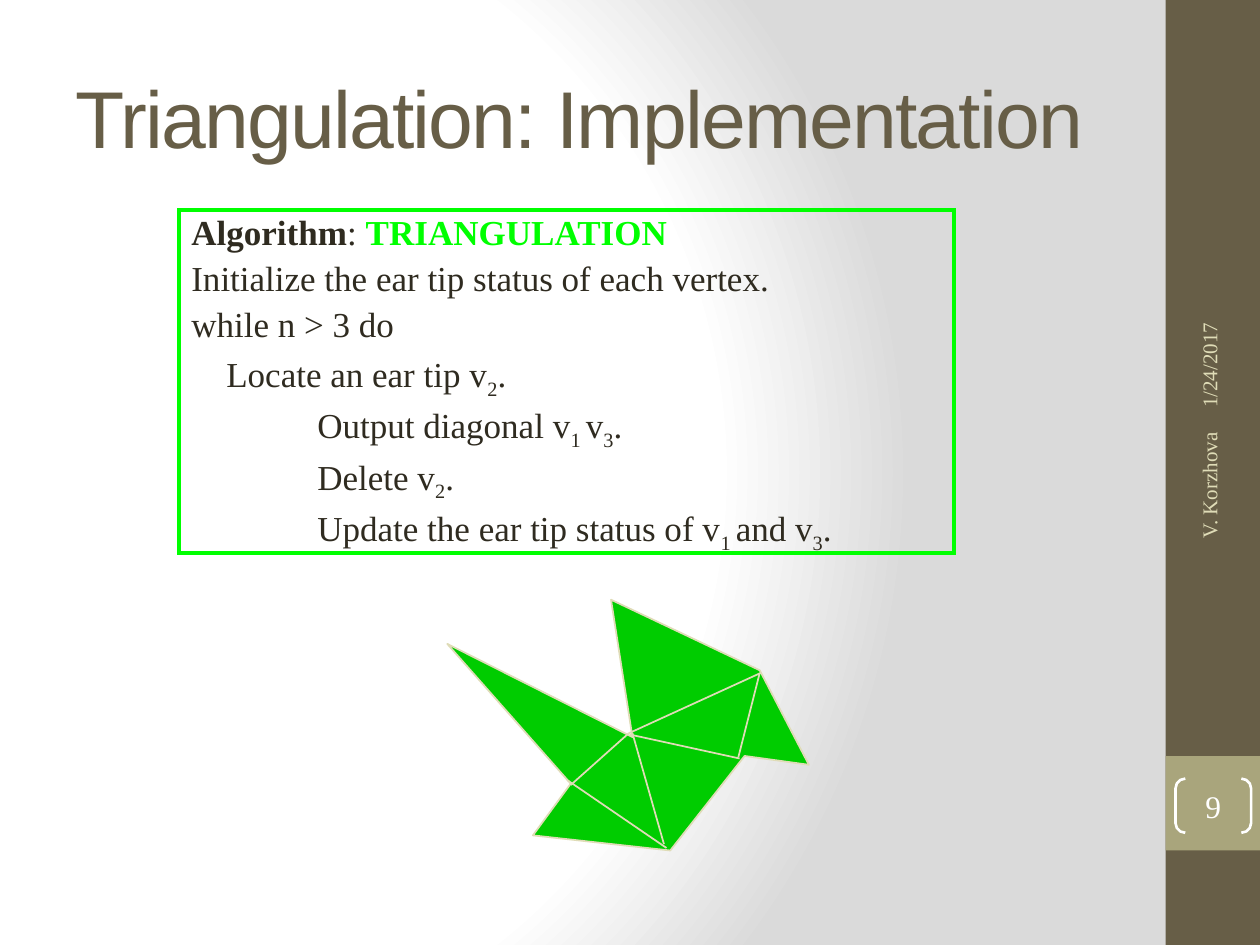
from lxml import etree
from pptx import Presentation
from pptx.dml.color import RGBColor
from pptx.enum.dml import MSO_THEME_COLOR
from pptx.enum.shapes import MSO_CONNECTOR, MSO_SHAPE
from pptx.enum.text import MSO_ANCHOR, MSO_AUTO_SIZE, PP_ALIGN
from pptx.oxml.ns import qn
from pptx.util import Inches, Pt

RECT, BRACKET = MSO_SHAPE.RECTANGLE, MSO_SHAPE.DOUBLE_BRACKET
STRAIGHT = MSO_CONNECTOR.STRAIGHT
MIDDLE, TOP = MSO_ANCHOR.MIDDLE, MSO_ANCHOR.TOP
LEFT, CENTER, RIGHT = PP_ALIGN.LEFT, PP_ALIGN.CENTER, PP_ALIGN.RIGHT

WHITE = RGBColor(0xFF, 0xFF, 0xFF)
GREY = RGBColor(0xDA, 0xDA, 0xDA)
BROWN = RGBColor(0x67, 0x5E, 0x47)
OLIVE = RGBColor(0xA9, 0xA5, 0x7C)
CREAM = RGBColor(0xDF, 0xDC, 0xB7)
INK = RGBColor(0x2F, 0x2B, 0x20)
LIME = RGBColor(0x00, 0xFF, 0x00)
GREEN = RGBColor(0x00, 0xCC, 0x00)
SERIF = "Times New Roman"


def add_run(para, text, size, color, font=SERIF, bold=False):
    run = para.add_run()
    run.text = text
    run.font.size, run.font.name, run.font.bold = Pt(size), font, bold
    run.font.color.rgb = color
    return run


def add_box(kind, left, top, wide, high, fill=None, line=None, width=1):
    box = slide.shapes.add_shape(kind, Inches(left), Inches(top), Inches(wide), Inches(high))
    box.shadow.inherit = False
    if fill is None:
        box.fill.background()
    else:
        box.fill.solid()
        box.fill.fore_color.rgb = fill
    if line is None:
        box.line.fill.background()
    else:
        box.line.color.rgb = line
        box.line.width = Pt(width)
    return box


deck = Presentation()
deck.slide_width, deck.slide_height = Inches(10), Inches(7.5)
slide = deck.slides.add_slide(deck.slide_layouts[5])

# Background: radial fade from white to grey
back = slide.background.fill
back.gradient()
for stop in back.gradient_stops:
    stop.color.theme_color = MSO_THEME_COLOR.BACKGROUND_1
grad = slide.background._cSld.find(".//" + qn("a:gradFill"))
for child in list(grad):
    grad.remove(child)
stops = etree.SubElement(grad, qn("a:gsLst"))
for share, color in ((0, WHITE), (75, WHITE), (100, GREY)):
    stop = etree.SubElement(stops, qn("a:gs"), pos=str(share * 1000))
    etree.SubElement(stop, qn("a:srgbClr"), val=str(color))
fade = etree.SubElement(grad, qn("a:path"), {"path": "circle"})
etree.SubElement(fade, qn("a:fillToRect"), l="20000", t="50000", r="100000", b="50000")

# Side band
add_box(RECT, 9.25, 0, 0.75, 7.5, BROWN)
add_box(RECT, 9.25, 6, 0.75, 0.75, OLIVE)

# Title
title = slide.shapes.title
title.left, title.top = Inches(0.5), Inches(0.3)
title.width, title.height = Inches(8.33), Inches(1.25)
frame = title.text_frame
frame.auto_size = MSO_AUTO_SIZE.NONE
frame.vertical_anchor = MIDDLE
para = frame.paragraphs[0]
para.alignment = LEFT
run = add_run(para, "Triangulation: Implementation", 46, BROWN, "Arial")
run.font._element.set("spc", "-100")

# Algorithm: each line is a list of (text, style)
PLAIN, BOLD, NAME, SUB = range(4)
steps = [
    [("Algorithm", BOLD), (": ", PLAIN), ("TRIANGULATION", NAME)],
    [("Initialize the ear tip status of each vertex.", PLAIN)],
    [("while n > 3 do", PLAIN)],
    [("    Locate an ear tip v", PLAIN), ("2", SUB), (".", PLAIN)],
    [("\tOutput diagonal v", PLAIN), ("1 ", SUB), ("v", PLAIN), ("3", SUB), (".", PLAIN)],
    [("\tDelete v", PLAIN), ("2", SUB), (".", PLAIN)],
    [("\tUpdate the ear tip status of v", PLAIN), ("1 ", SUB), ("and v", PLAIN),
     ("3", SUB), (".", PLAIN)],
]
panel = add_box(RECT, 1.42, 1.67, 6.15, 2.72, line=LIME, width=2.25)
etree.SubElement(panel._element.spPr.find(qn("a:ln")), qn("a:miter"), lim="800000")
frame = panel.text_frame
frame.word_wrap = True
frame.vertical_anchor = TOP
for row, step in enumerate(steps):
    para = frame.add_paragraph() if row else frame.paragraphs[0]
    para.alignment = LEFT
    para.line_spacing, para.space_before = 0.85, Pt(6)
    tabs = etree.SubElement(para._p.get_or_add_pPr(), qn("a:tabLst"))
    etree.SubElement(tabs, qn("a:tab"), pos=str(Inches(1)), algn="l")
    for text, style in step:
        run = add_run(para, text, 20, LIME if style == NAME else INK, bold=style in (BOLD, NAME))
        if style == SUB:
            run.font._element.set("baseline", "-25000")

# Polygon and its diagonals
group = slide.shapes.add_group_shape()
points = [(Inches(x), Inches(y)) for x, y in (
    (3.55, 5.11), (5.02, 5.85), (4.85, 4.76), (6.03, 5.32), (6.42, 6.07),
    (5.91, 6), (5.32, 6.75), (4.23, 6.63), (4.53, 6.22))]
pen = group.shapes.build_freeform(*points[0])
pen.add_line_segments(points[1:], close=True)
shape = pen.convert_to_shape()
shape.shadow.inherit = False
shape.fill.solid()
shape.fill.fore_color.rgb = GREEN
shape.line.color.rgb = CREAM
shape.line.width = Pt(1)
for ends in ((4.99, 5.82, 6.04, 5.34), (6.03, 5.34, 5.86, 6.01), (5, 5.83, 5.87, 6.02),
             (4.53, 6.23, 4.99, 5.82), (5.27, 6.7, 5.02, 5.82), (5.29, 6.73, 4.5, 6.19)):
    edge = group.shapes.add_connector(STRAIGHT, *map(Inches, ends))
    edge.line.color.rgb = CREAM
    edge.line.width = Pt(1)
    etree.SubElement(edge._element.spPr, qn("a:effectLst"))

# Date, author and page number on the band
for text, left, top, wide, align in (("1/24/2017", 8.26, 1.8, 2.67, LEFT),
                                     ("V. Korzhova", 8.3, 4.43, 2.59, RIGHT)):
    note = slide.shapes.add_textbox(Inches(left), Inches(top), Inches(wide), Inches(0.4))
    note.rotation = 270
    frame = note.text_frame
    frame.word_wrap = True
    frame.vertical_anchor = MIDDLE
    frame.paragraphs[0].alignment = align
    add_run(frame.paragraphs[0], text, 12, CREAM)

page = add_box(BRACKET, 9.33, 6.18, 0.6, 0.43, line=WHITE, width=1.5)
page.adjustments[0] = 0.18
frame = page.text_frame
frame.margin_left = frame.margin_right = frame.margin_top = frame.margin_bottom = 0
frame.vertical_anchor = MIDDLE
frame.paragraphs[0].alignment = CENTER
add_run(frame.paragraphs[0], "9", 18, WHITE)

deck.save("out.pptx")
